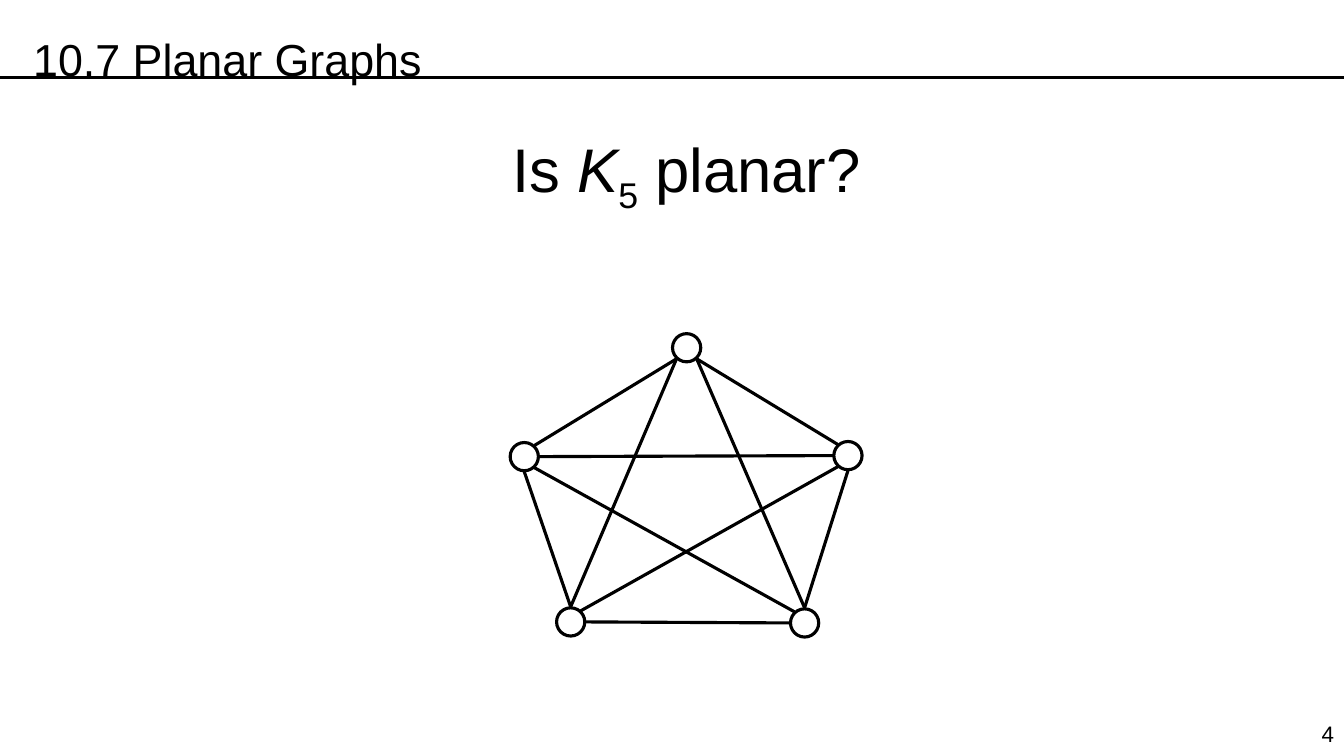
from pptx import Presentation
from pptx.dml.color import RGBColor
from pptx.enum.shapes import MSO_CONNECTOR as Link, MSO_SHAPE as Shape
from pptx.enum.text import MSO_ANCHOR as Anchor, PP_ALIGN as Align
from pptx.oxml.ns import qn
from pptx.util import Inches, Pt
from lxml import etree

BLACK = RGBColor(0, 0, 0)
WHITE = RGBColor(255, 255, 255)


class Board:
    font = "Arial"
    width = Pt(2.25)
    size = 0.28

    def __init__(self, slide):
        self.slide = slide

    def text(self, box, parts, size, align=Align.LEFT, space=None, top=0.05):
        """Add a one-line text; parts are (words, italic, baseline)."""
        frame = self.slide.shapes.add_textbox(*map(Inches, box)).text_frame
        frame.word_wrap = True
        frame.vertical_anchor = Anchor.TOP
        frame.margin_top = Inches(top)
        para = frame.paragraphs[0]
        para.alignment = align
        if space:
            para.line_spacing = space
        para.font.name = self.font
        para.font.size = Pt(size)
        para.font.color.rgb = BLACK
        for words, italic, base in parts:
            run = para.add_run()
            run.text = words
            font = run.font
            font.name, font.size = self.font, Pt(size)
            font.color.rgb = BLACK
            if italic:
                font.italic = True
            if base:
                run._r.get_or_add_rPr().set("baseline", str(base * 1000))

    def line(self, start, end):
        line = self.slide.shapes.add_connector(
            Link.STRAIGHT, *map(Inches, (*start, *end)))
        line.line.color.rgb = BLACK
        line.line.width = self.width
        etree.SubElement(line._element.spPr, qn("a:effectLst"))

    def node(self, x, y):
        half = self.size / 2
        dot = self.slide.shapes.add_shape(
            Shape.OVAL, Inches(x - half), Inches(y - half),
            Inches(self.size), Inches(self.size))
        dot.shadow.inherit = False
        dot.fill.solid()
        dot.fill.fore_color.rgb = WHITE
        dot.line.color.rgb = BLACK
        dot.line.width = self.width


# Vertices by centre, and the points where edges meet a vertex
NODES = {"top": (6.81, 3.45), "left": (5.2, 4.53), "right": (8.41, 4.52),
         "low left": (5.66, 6.17), "low right": (7.98, 6.18)}
PORTS = {"n": (0, -0.15), "s": (0, 0.15), "e": (0.15, 0), "w": (-0.15, 0),
         "ne": (0.1, -0.11), "nw": (-0.1, -0.11),
         "se": (0.1, 0.11), "sw": (-0.1, 0.11)}
EDGES = [("top", "sw", "left", "ne"), ("top", "se", "right", "nw"),
         ("top", "sw", "low left", "n"), ("top", "se", "low right", "n"),
         ("left", "e", "right", "w"), ("left", "s", "low left", "n"),
         ("left", "se", "low right", "nw"), ("right", "s", "low right", "n"),
         ("right", "sw", "low left", "ne"), ("low left", "e", "low right", "w")]


def port(name, side):
    (x, y), (dx, dy) = NODES[name], PORTS[side]
    return x + dx, y + dy


def main():
    deck = Presentation()
    deck.slide_width, deck.slide_height = Inches(13.33), Inches(7.5)
    board = Board(deck.slides.add_slide(deck.slide_layouts[6]))

    # Rule and page number
    board.line((-0.01, 0.77), (13.33, 0.77))
    board.text((12.7, 7.1, 0.63, 0.37), [("4", False, 0)], 16, Align.RIGHT)

    # Question
    board.text((2.31, 1.18, 9, 1.25),
               [("Is ", False, 0), ("K", True, 0),
                ("5", False, -25), (" planar?", False, 0)],
               44, Align.CENTER, top=0.12)

    # Complete graph on five vertices
    for a, out, b, into in EDGES:
        board.line(port(a, out), port(b, into))
    for spot in NODES.values():
        board.node(*spot)

    # Heading
    board.text((0.23, 0, 12.09, 0.81), [("10.7 Planar Graphs", False, 0)],
               32, space=1.5)

    deck.save("out.pptx")


if __name__ == "__main__":
    main()
